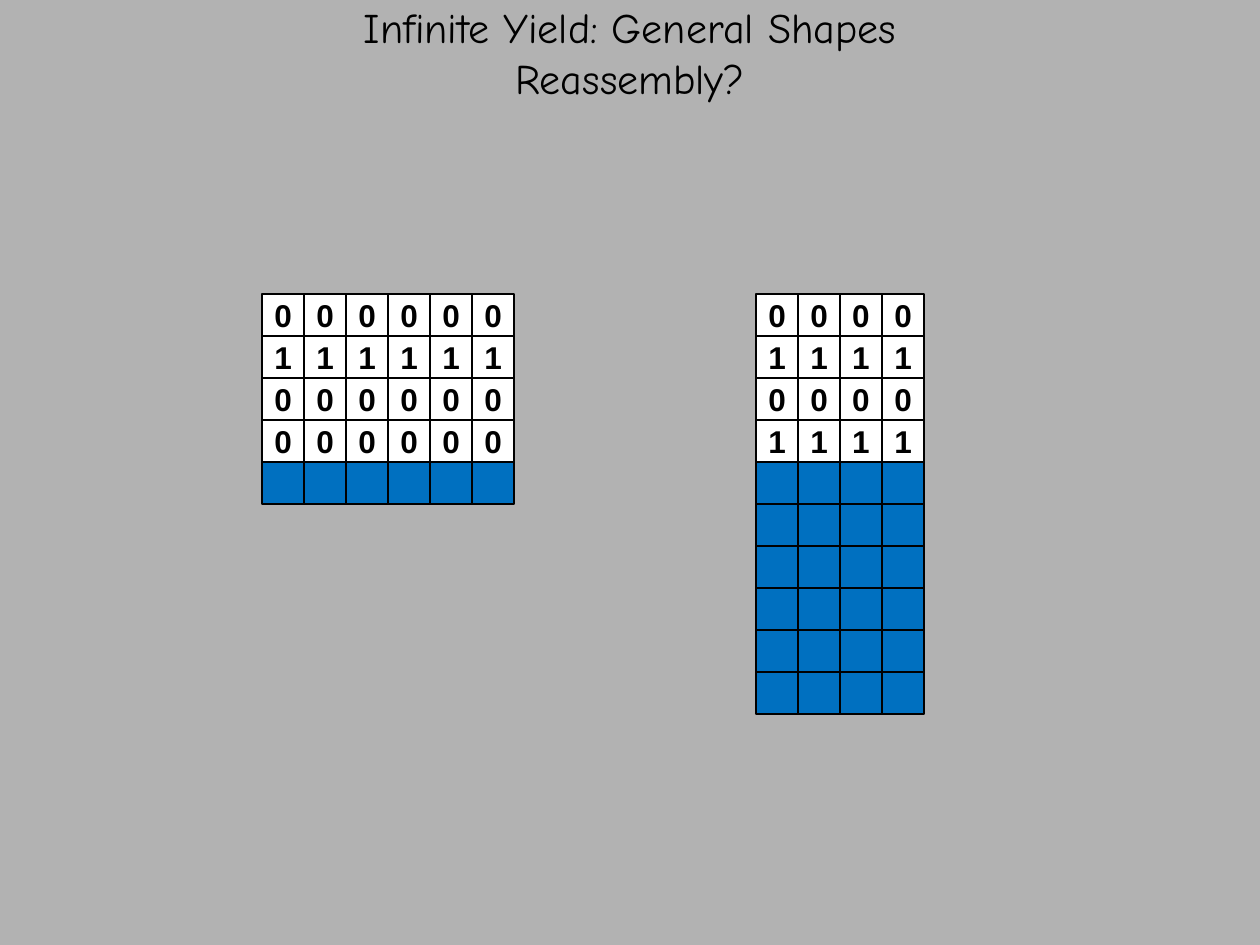
"""Build a slide with two bit grids above their blue filler rows."""
from pptx import Presentation
from pptx.dml.color import RGBColor as Rgb
from pptx.enum.shapes import MSO_SHAPE as Shape
from pptx.enum.text import MSO_ANCHOR as Anchor, MSO_AUTO_SIZE as Fit, PP_ALIGN as Align
from pptx.util import Inches, Pt

COLORS = {"back": "B2B2B2", "ink": "000000", "bit": "FFFFFF", "fill": "0070C0"}
SIDE = 1 / 3
TOP = 7 / 3


def paint(fill, name):
    fill.solid()
    fill.fore_color.rgb = Rgb.from_string(COLORS[name])


def add_run(para, text, font, size, bold=False):
    para.alignment = Align.CENTER
    run = para.add_run()
    run.text = text
    run.font.name = font
    run.font.size = Pt(size)
    run.font.bold = bold
    run.font.color.rgb = Rgb.from_string(COLORS["ink"])


def add_title(slide, lines):
    title = slide.shapes.title
    title.left, title.top = Inches(0), Inches(0.08)
    title.width, title.height = Inches(10), Inches(0.67)
    frame = title.text_frame
    frame.auto_size = Fit.NONE
    frame.vertical_anchor = Anchor.MIDDLE
    for i, line in enumerate(lines):
        para = frame.add_paragraph() if i else frame.paragraphs[0]
        add_run(para, line, "Comic Neue", 24)


def add_cell(group, left, top, bit):
    cell = group.shapes.add_shape(
        Shape.RECTANGLE, Inches(left), Inches(top), Inches(SIDE), Inches(SIDE))
    cell.shadow.inherit = False
    paint(cell.fill, "bit" if bit else "fill")
    paint(cell.line.fill, "ink")
    cell.line.width = Pt(0.75)
    if bit:
        frame = cell.text_frame
        frame.margin_left = frame.margin_right = 0
        frame.margin_top = frame.margin_bottom = 0
        frame.vertical_anchor = Anchor.MIDDLE
        add_run(frame.paragraphs[0], bit, "Arial", 18, True)


def add_grid(slide, left, cols, bits, extra):
    group = slide.shapes.add_group_shape()
    for row, bit in enumerate([*bits, *[""] * extra]):
        for col in range(cols):
            add_cell(group, left + col * SIDE, TOP + row * SIDE, bit)


def main():
    deck = Presentation()
    deck.slide_width, deck.slide_height = Inches(10), Inches(7.5)
    slide = deck.slides.add_slide(deck.slide_layouts[5])
    paint(slide.background.fill, "back")
    add_title(slide, ["Infinite Yield: General Shapes", "Reassembly?"])
    add_grid(slide, 6, 4, "0101", 6)
    add_grid(slide, 2.08, 6, "0100", 1)
    deck.save("out.pptx")


if __name__ == "__main__":
    main()
